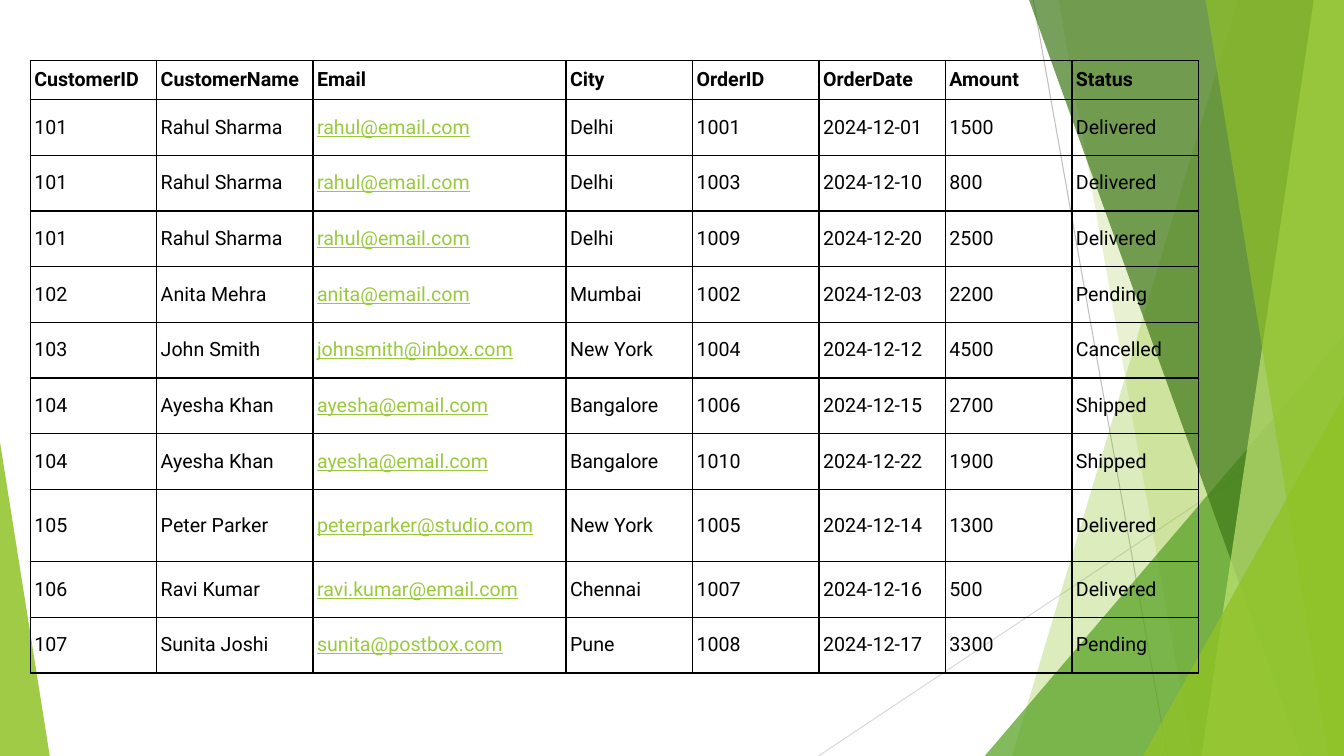
"""Builds the customer order table slide with its green facet backdrop."""
from dataclasses import astuple, dataclass
from typing import Any

from lxml.etree import SubElement
from pptx import Presentation
from pptx.dml.color import RGBColor
from pptx.enum.shapes import MSO_CONNECTOR, MSO_SHAPE
from pptx.enum.text import MSO_ANCHOR
from pptx.oxml.ns import qn
from pptx.util import Emu, Inches, Pt

WIDTH, HEIGHT = Inches(13.33), Inches(7.5)
FONT, BLACK, LINK, GREEN = "Roboto", "000000", "99CA3C", "90C226"


@dataclass(frozen=True)
class Ray:
    start: tuple[float, float]
    end: tuple[float, float]
    color: str


@dataclass(frozen=True)
class Facet:
    top: float
    foot: float
    color: str
    opacity: int


@dataclass(frozen=True)
class Peak:
    left: float
    top: float
    width: float
    apex: int
    color: str
    opacity: int


@dataclass(frozen=True)
class Customer:
    name: str
    email: str
    city: str


@dataclass(frozen=True)
class Order:
    customer: str
    number: str
    date: str
    amount: str
    status: str


RAYS = (
    Ray((76.88, 0), (86.87, 100), "BFBFBF"),
    Ray((100, 53.7), (60.9, 100), "D9D9D9"),
)
BACKDROP = (
    Facet(92.1, 75.3, GREEN, 30),
    Facet(78.75, 88.72, GREEN, 20),
    Peak(73.27, 44.4, 26.73, 1, "54A021", 72),
    Facet(76.57, 96.83, "3F7819", 70),
    Facet(97.75, 89.4, "C0E474", 70),
    Facet(89.7, 98.85, GREEN, 65),
    Peak(85.05, 52.4, 14.95, 1, GREEN, 80),
    Peak(0, 58.5, 3.7, 0, GREEN, 85),
)
TABLE_LEFT, TABLE_TOP = 2.25, 8
COLUMNS = (9.41, 11.63, 18.83, *[9.41] * 5)
ROWS = (5.2, *[7.36] * 7, 9.6, *[7.36] * 2)
HEADINGS = ("CustomerID", "CustomerName", "Email", "City",
            "OrderID", "OrderDate", "Amount", "Status")
EMAIL_COLUMN = HEADINGS.index("Email")
CUSTOMERS = {
    "101": Customer("Rahul Sharma", "rahul@email.com", "Delhi"),
    "102": Customer("Anita Mehra", "anita@email.com", "Mumbai"),
    "103": Customer("John Smith", "johnsmith@inbox.com", "New York"),
    "104": Customer("Ayesha Khan", "ayesha@email.com", "Bangalore"),
    "105": Customer("Peter Parker", "peterparker@studio.com", "New York"),
    "106": Customer("Ravi Kumar", "ravi.kumar@email.com", "Chennai"),
    "107": Customer("Sunita Joshi", "sunita@postbox.com", "Pune"),
}
ORDERS = (
    Order("101", "1001", "2024-12-01", "1500", "Delivered"),
    Order("101", "1003", "2024-12-10", "800", "Delivered"),
    Order("101", "1009", "2024-12-20", "2500", "Delivered"),
    Order("102", "1002", "2024-12-03", "2200", "Pending"),
    Order("103", "1004", "2024-12-12", "4500", "Cancelled"),
    Order("104", "1006", "2024-12-15", "2700", "Shipped"),
    Order("104", "1010", "2024-12-22", "1900", "Shipped"),
    Order("105", "1005", "2024-12-14", "1300", "Delivered"),
    Order("106", "1007", "2024-12-16", "500", "Delivered"),
    Order("107", "1008", "2024-12-17", "3300", "Pending"),
)


def across(share: float) -> Emu:
    return Emu(round(WIDTH * share / 100))


def down(share: float) -> Emu:
    return Emu(round(HEIGHT * share / 100))


def rgb(color: str) -> RGBColor:
    return RGBColor.from_string(color)


def draw_ray(page: Any, ray: Ray) -> None:
    (left, top), (right, bottom) = ray.start, ray.end
    line = page.shapes.add_connector(MSO_CONNECTOR.STRAIGHT, across(left), down(top),
                                     across(right), down(bottom))
    line.line.color.rgb = rgb(ray.color)
    line.line.width = Pt(0.75)
    SubElement(line._element.spPr, qn("a:effectLst"))


def add_facet(page: Any, facet: Facet) -> Any:
    builder = page.shapes.build_freeform(across(facet.top), 0)
    builder.add_line_segments([(WIDTH, 0), (WIDTH, HEIGHT), (across(facet.foot), HEIGHT)])
    return builder.convert_to_shape()


def add_peak(page: Any, peak: Peak) -> Any:
    shape = page.shapes.add_shape(MSO_SHAPE.ISOSCELES_TRIANGLE, across(peak.left), down(peak.top),
                                  across(peak.width), down(100 - peak.top))
    shape.adjustments[0] = peak.apex
    return shape


def draw_pane(page: Any, pane: Facet | Peak) -> None:
    shape = add_facet(page, pane) if isinstance(pane, Facet) else add_peak(page, pane)
    shape.shadow.inherit = False
    shape.line.fill.background()
    shape.fill.solid()
    shape.fill.fore_color.rgb = rgb(pane.color)
    tint = shape._element.spPr.find(f"{qn('a:solidFill')}/{qn('a:srgbClr')}")
    SubElement(tint, qn("a:alpha"), val=str(pane.opacity * 1000))


def frame_cell(cell: Any) -> None:
    properties = cell._tc.get_or_add_tcPr()
    for side in ("lnL", "lnR", "lnT", "lnB"):
        edge = SubElement(properties, qn(f"a:{side}"), w=str(Pt(1)))
        SubElement(SubElement(edge, qn("a:solidFill")), qn("a:srgbClr"), val=BLACK)
    cell.fill.background()
    cell.vertical_anchor = MSO_ANCHOR.MIDDLE
    cell.margin_left = cell.margin_right = Inches(0.04)
    cell.margin_top = cell.margin_bottom = Inches(0.02)


def write_cell(cell: Any, text: str, heading: bool, link: bool) -> None:
    span = cell.text_frame.paragraphs[0].add_run()
    span.text = text
    span.font.name = FONT
    span.font.size = Pt(14)
    span.font.bold = heading
    span.font.underline = link
    span.font.color.rgb = rgb(LINK if link else BLACK)


def draw_table(page: Any) -> None:
    records = [HEADINGS]
    for order in ORDERS:
        number, *details = astuple(order)
        records.append((number, *astuple(CUSTOMERS[number]), *details))
    table = page.shapes.add_table(len(ROWS), len(COLUMNS), across(TABLE_LEFT), down(TABLE_TOP),
                                  across(sum(COLUMNS)), down(sum(ROWS))).table
    table.first_row = table.horz_banding = False
    for column, share in zip(table.columns, COLUMNS):
        column.width = across(share)
    for row_index, (row, share, record) in enumerate(zip(table.rows, ROWS, records)):
        row.height = down(share)
        heading = row_index == 0
        for column_index, (cell, text) in enumerate(zip(row.cells, record)):
            frame_cell(cell)
            write_cell(cell, text, heading, not heading and column_index == EMAIL_COLUMN)


def main() -> None:
    deck = Presentation()
    deck.slide_width, deck.slide_height = WIDTH, HEIGHT
    page = deck.slides.add_slide(deck.slide_layouts[6])
    for ray in RAYS:
        draw_ray(page, ray)
    for pane in BACKDROP:
        draw_pane(page, pane)
    draw_table(page)
    deck.save("out.pptx")


if __name__ == "__main__":
    main()
